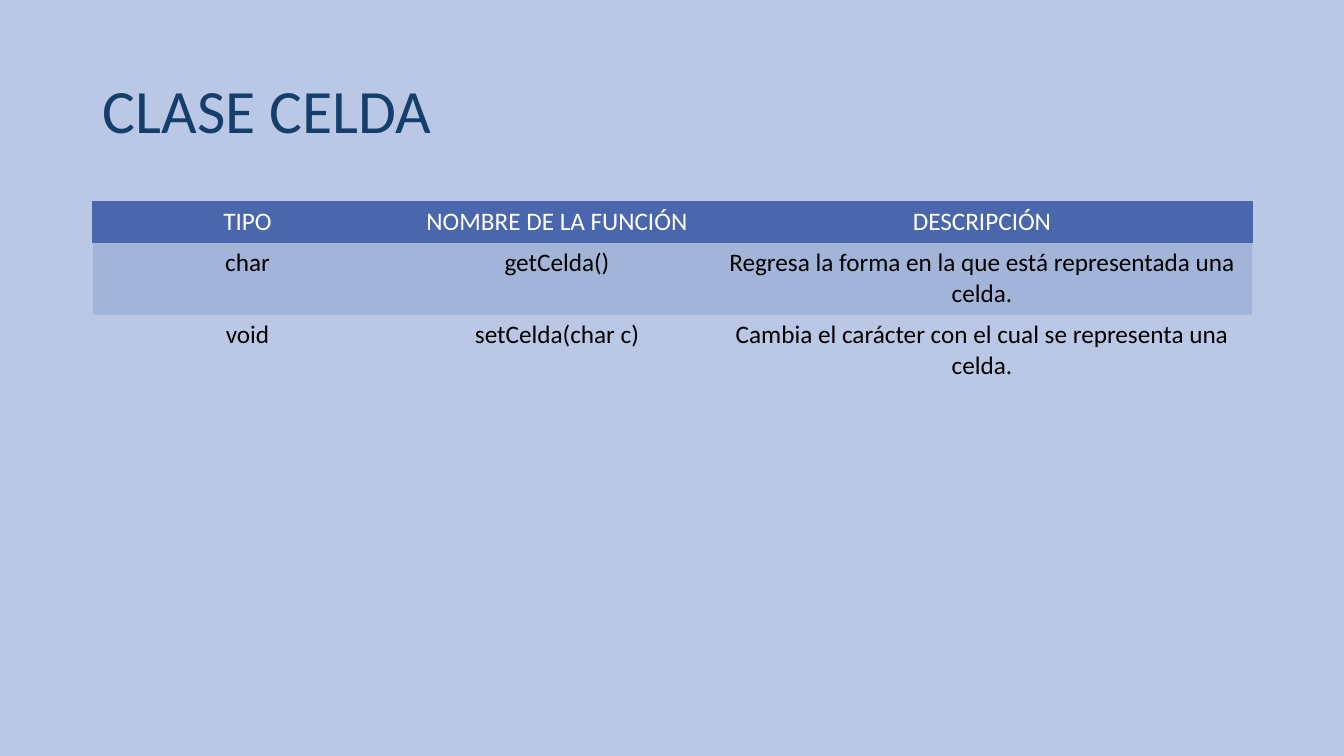
from lxml import etree
from pptx import Presentation
from pptx.dml.color import RGBColor
from pptx.enum import text
from pptx.oxml.ns import qn
from pptx.util import Inches, Pt

COLORS = {
    "background": "BAC8E5",
    "title": "143F6A",
    "accent": "4A66AC",
    "header_text": "FFFFFF",
    "body_text": "000000",
}
FONT = "Calibri"
NO_GRID_STYLE = "{2D5ABB26-0587-4C30-8999-92F81FD0307C}"
COLUMN_WIDTHS = [3.07, 3.07, 5.36]
ROW_HEIGHTS = [0.41, 0.7, 0.7]
FUNCTIONS = [
    ["TIPO", "NOMBRE DE LA FUNCIÓN", "DESCRIPCIÓN"],
    ["char", "getCelda()", "Regresa la forma en la que está representada una celda."],
    ["void", "setCelda(char c)", "Cambia el carácter con el cual se representa una celda."],
]


def color(name):
    return RGBColor.from_string(COLORS[name])


def set_font(paragraph, size, color_name):
    paragraph.font.name = FONT
    paragraph.font.size = Pt(size)
    paragraph.font.bold = False
    paragraph.font.color.rgb = color(color_name)


def fill_cell(cell, opacity=100):
    cell.fill.solid()
    cell.fill.fore_color.rgb = color("accent")
    if opacity < 100:
        fill_color = cell._tc.tcPr.find(f"{qn('a:solidFill')}/{qn('a:srgbClr')}")
        etree.SubElement(fill_color, qn("a:alpha"), val=str(opacity * 1000))


def add_header_borders(cell):
    properties = cell._tc.get_or_add_tcPr()
    for position, side in enumerate(["a:lnL", "a:lnR", "a:lnT"]):
        line = etree.Element(qn(side), w=str(Pt(1)))
        fill = etree.SubElement(line, qn("a:solidFill"))
        etree.SubElement(fill, qn("a:srgbClr"), val=COLORS["accent"])
        properties.insert(position, line)


def add_title(slide, left, top, width, height):
    title = slide.shapes.title
    title.left, title.top = Inches(left), Inches(top)
    title.width, title.height = Inches(width), Inches(height)
    title.text_frame.text = "CLASE CELDA"
    title.text_frame.vertical_anchor = text.MSO_ANCHOR.MIDDLE
    paragraph = title.text_frame.paragraphs[0]
    paragraph.alignment = text.PP_ALIGN.LEFT
    paragraph.line_spacing = 0.9
    set_font(paragraph, 44, "title")


def add_function_table(slide, left, top, width, height):
    frame = slide.shapes.add_table(
        len(FUNCTIONS), len(COLUMN_WIDTHS),
        Inches(left), Inches(top), Inches(width), Inches(height),
    )
    table = frame.table
    table.horz_banding = False
    frame._element.find(f".//{qn('a:tableStyleId')}").text = NO_GRID_STYLE
    for column, column_width in zip(table.columns, COLUMN_WIDTHS):
        column.width = Inches(column_width)
    for row, row_height in zip(table.rows, ROW_HEIGHTS):
        row.height = Inches(row_height)
    for row_index, entries in enumerate(FUNCTIONS):
        for column_index, entry in enumerate(entries):
            cell = table.cell(row_index, column_index)
            cell.text = entry
            paragraph = cell.text_frame.paragraphs[0]
            paragraph.alignment = text.PP_ALIGN.CENTER
            set_font(paragraph, 18, "body_text" if row_index else "header_text")
            if row_index == 0:
                fill_cell(cell)
                add_header_borders(cell)
            elif row_index == 1:
                fill_cell(cell, opacity=20)
            else:
                cell.fill.background()


def main():
    presentation = Presentation()
    presentation.slide_width = Inches(13.33)
    presentation.slide_height = Inches(7.5)
    slide = presentation.slides.add_slide(presentation.slide_layouts[5])
    slide.background.fill.solid()
    slide.background.fill.fore_color.rgb = color("background")
    add_title(slide, 0.92, 0.4, 11.5, 1.45)
    add_function_table(slide, 0.92, 2, sum(COLUMN_WIDTHS), sum(ROW_HEIGHTS))
    presentation.save("out.pptx")


if __name__ == "__main__":
    main()
